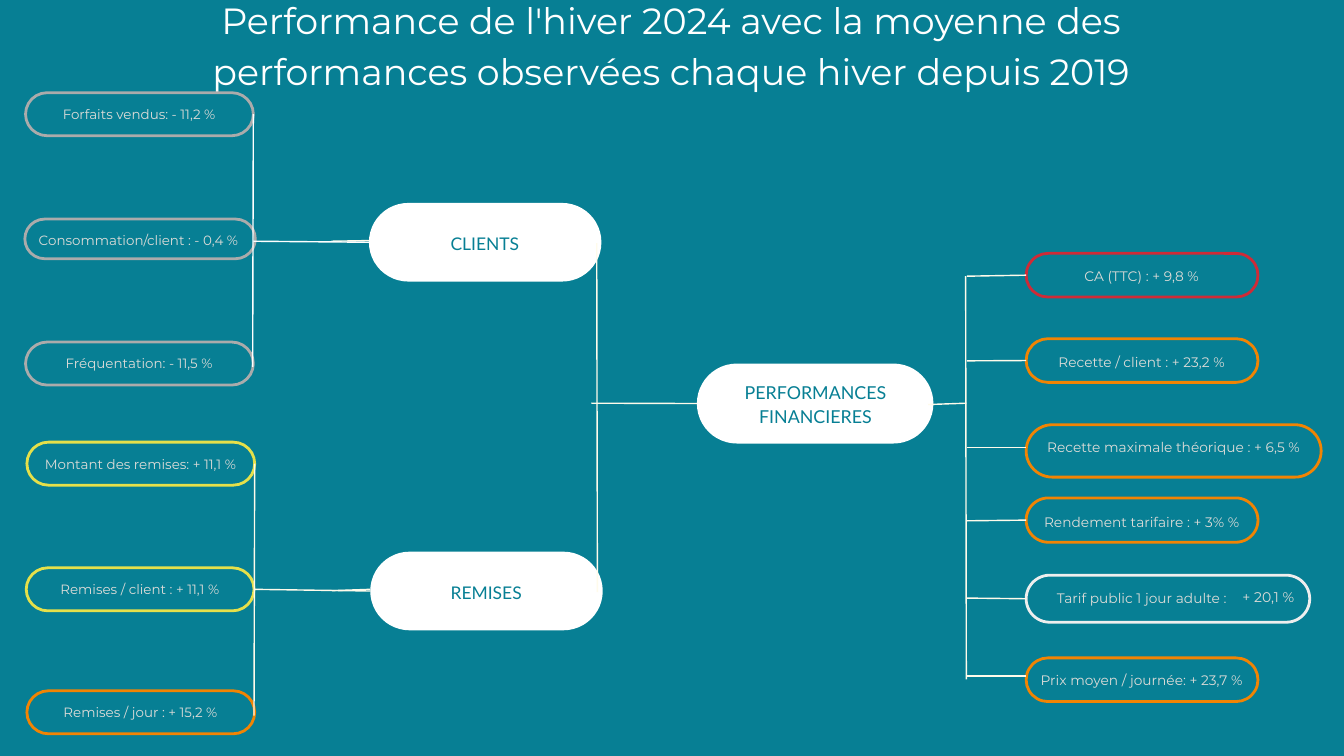
from lxml.etree import SubElement
from pptx import Presentation
from pptx.dml.color import RGBColor
from pptx.enum.shapes import MSO_CONNECTOR, MSO_SHAPE
from pptx.enum.text import MSO_ANCHOR, MSO_AUTO_SIZE, PP_ALIGN
from pptx.oxml.ns import qn
from pptx.util import Pt

PX = 9144
TEAL = RGBColor(0x07, 0x7F, 0x94)
WHITE = RGBColor(0xFF, 0xFF, 0xFF)
CREAM = RGBColor(0xFF, 0xFB, 0xEB)
LIGHT = RGBColor(0xDD, 0xDC, 0xD8)
PALE = RGBColor(0xEE, 0xEE, 0xEE)
GRAY = RGBColor(0xAB, 0xAB, 0xAB)
ORANGE = RGBColor(0xF1, 0x84, 0x03)
YELLOW = RGBColor(0xE5, 0xE0, 0x4A)
RED = RGBColor(0xCE, 0x2B, 0x37)

TITLE = dict(name="Montserrat", size=Pt(39), bold=False)
HUB = dict(name="Lato", size=Pt(18.7))
ROOT = dict(name="Lato", size=Pt(19.1))
LEFT = dict(name="Montserrat", size=Pt(14.4))
RIGHT = dict(name="Montserrat", size=Pt(14.7))
VALUE = dict(name="Montserrat", size=Pt(15))
FRAME = dict(margin_left=0, margin_right=0, margin_top=0, margin_bottom=0,
             word_wrap=True, auto_size=MSO_AUTO_SIZE.NONE,
             vertical_anchor=MSO_ANCHOR.TOP)


def px(*lengths):
    return [n * PX for n in lengths]


def set_values(target, values):
    for key, value in values.items():
        setattr(target, key, value)


class Diagram:
    def __init__(self, prs):
        self.s = prs.slides.add_slide(prs.slide_layouts[5])
        self.s.background.fill.solid()
        self.s.background.fill.fore_color.rgb = TEAL

    def fill_text(self, sp, text, font, color, spacing):
        tf = sp.text_frame
        set_values(tf, FRAME)
        p = tf.paragraphs[0]
        set_values(p, dict(alignment=PP_ALIGN.CENTER, line_spacing=Pt(spacing),
                           space_before=Pt(0)))
        r = p.add_run()
        r.text = text
        set_values(r.font, font)
        r.font.color.rgb = color

    def title(self, text, x, y, w, h):
        sp = self.s.shapes.title
        set_values(sp, dict(zip(("left", "top", "width", "height"), px(x, y, w, h))))
        self.fill_text(sp, text, TITLE, WHITE, 54.6)

    def text(self, text, x, y, w, h, font, color=LIGHT, spacing=20.6):
        sp = self.s.shapes.add_textbox(*px(x, y, w, h))
        self.fill_text(sp, text, font, color, spacing)

    def pill(self, x, y, w, h, fill=None, outline=None):
        sp = self.s.shapes.add_shape(MSO_SHAPE.ROUNDED_RECTANGLE, *px(x, y, w, h))
        sp.adjustments[0] = 0.5
        sp.shadow.inherit = False
        if fill is None:
            sp.fill.background()
        else:
            sp.fill.solid()
            sp.fill.fore_color.rgb = fill
        if outline is None:
            sp.line.fill.background()
        else:
            sp.line.color.rgb = outline
            sp.line.width = Pt(3)
        return sp

    def line(self, x1, y1, x2, y2, start=None, end=None, color=CREAM):
        c = self.s.shapes.add_connector(MSO_CONNECTOR.STRAIGHT, *px(x1, y1, x2, y2))
        c.line.color.rgb = color
        c.line.width = Pt(1.5)
        SubElement(c._element.spPr, qn("a:effectLst"))
        if start is not None:
            c.begin_connect(start, 3)
        if end is not None:
            c.end_connect(end, 1)


def main():
    prs = Presentation()
    prs.slide_width, prs.slide_height = px(2000, 1125)
    d = Diagram(prs)
    d.title("Performance de l'hiver 2024 avec la moyenne des performances "
            "observées chaque hiver depuis 2019", 254, -13, 1489, 148)

    root = d.pill(1037, 541, 352, 119, fill=WHITE)
    d.text("PERFORMANCES FINANCIERES", 1046, 562, 335, 72, ROOT, TEAL, 26.7)

    hubs = {}
    for name, x, y in (("CLIENTS", 549, 302), ("REMISES", 551, 821)):
        hubs[name] = d.pill(x, y, 346, 117, fill=WHITE)
        d.text(name, x + 8, y + 40, 329, 35, HUB, TEAL, 26.2)

    leaves = {}
    for label, value, x, y, w, h, color in (
        ("Forfaits vendus:", "- 11,2 %", 38, 138, 339, 64, GRAY),
        ("Consommation/client :", "- 0,4 %", 37, 326, 343, 59, GRAY),
        ("Fréquentation:", "- 11,5 %", 38, 509, 339, 64, GRAY),
        ("Montant des remises:", "+ 11,1 %", 40, 658, 339, 64, YELLOW),
        ("Remises / client :", "+ 11,1 %", 39, 845, 339, 64, YELLOW),
        ("Remises / jour :", "+ 15,2 %", 40, 1028, 339, 64, ORANGE),
    ):
        leaves[label] = d.pill(x, y, w, h, outline=color)
        d.text(f"{label} {value}", x, y + 16, 338, 27, LEFT, spacing=20.2)

    for text, y, w, h, text_y, text_w, line_y, joined, color in (
        ("CA (TTC) : + 9,8 %", 377, 345, 65, 394, 344, 411, True, RED),
        ("Recette / client : + 23,2 %", 504, 345, 65, 522, 344, 537, True, ORANGE),
        ("Recette maximale théorique : + 6,5 %", 632, 439, 78, 649, 439, 666, False, ORANGE),
        ("Rendement tarifaire : + 3% %", 741, 345, 66, 761, 344, 775, True, ORANGE),
        ("Tarif public 1 jour adulte :", 856, 422, 70, 873, 344, 890, True, PALE),
        ("Prix moyen / journée: + 23,7 %", 979, 345, 65, 996, 344, 1006, False, ORANGE),
    ):
        sp = d.pill(1527, y, w, h, outline=color)
        d.text(text, 1527, text_y, text_w, 27, RIGHT)
        d.line(1439, line_y, 1527, line_y, end=sp if joined else None)
    d.text("+ 20,1 %", 1846, 871, 83, 29, VALUE, spacing=21)

    d.line(1381, 602, 1438, 600)
    d.line(1437, 411, 1438, 1011)
    d.line(888, 362, 889, 881)
    d.line(880, 600, 1037, 600, end=root)
    d.line(493, 359, 549, 358)
    d.line(494, 879, 551, 877)
    d.line(377, 170, 376, 546, start=leaves["Forfaits vendus:"], color=WHITE)
    d.line(377, 359, 549, 360, end=hubs["CLIENTS"], color=WHITE)
    d.line(379, 690, 378, 1065, start=leaves["Montant des remises:"])
    d.line(378, 877, 551, 880, start=leaves["Remises / client :"], end=hubs["REMISES"])

    prs.save("out.pptx")


if __name__ == "__main__":
    main()
